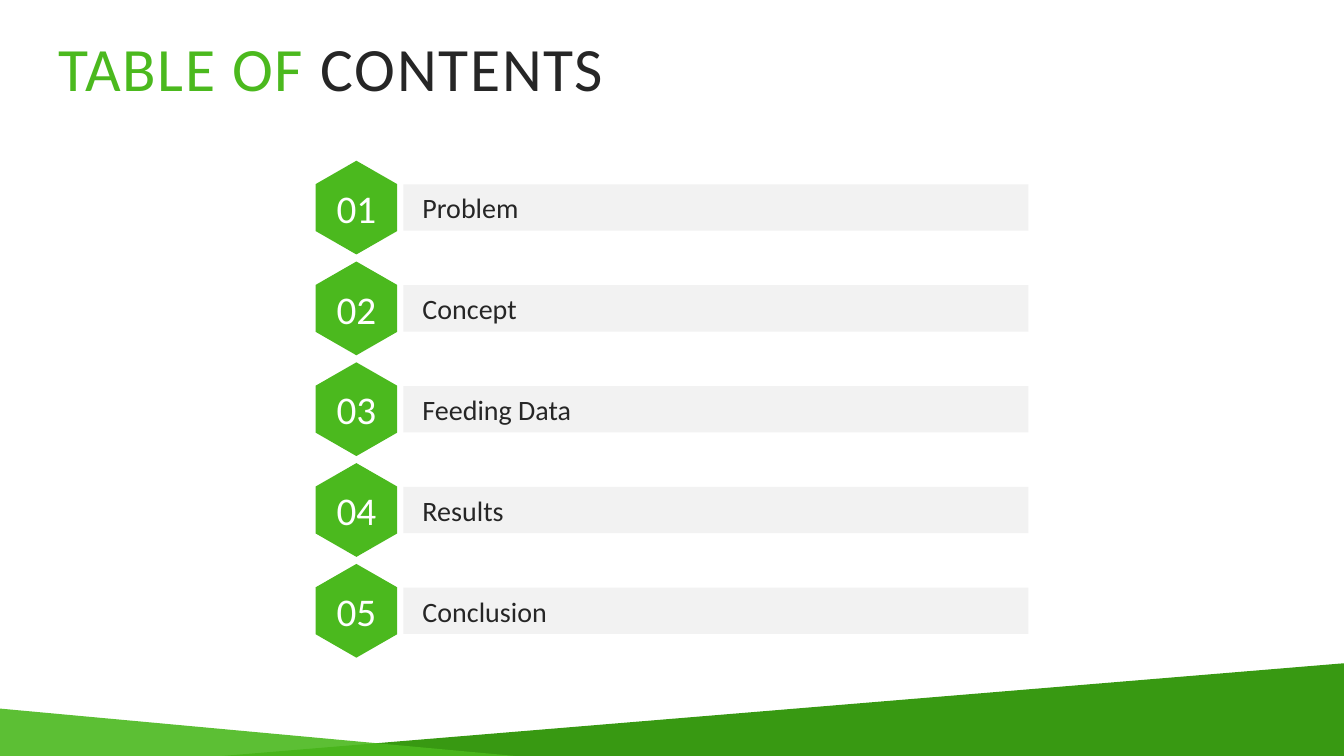
from dataclasses import dataclass

from lxml import etree
from pptx import Presentation
from pptx import util as u
from pptx.dml.color import RGBColor
from pptx.enum import shapes, text
from pptx.oxml import ns

GREEN, DARK_GREEN = "4BB91E", "389912"
INK, GREY, WHITE = "262626", "F2F2F2", "FFFFFF"
WIDTH, HEIGHT = 13.33, 7.5

# Row geometry, in inches
HEX_LEFT, HEX_W, HEX_H = 3.13, 0.81, 0.93
BAR_LEFT, BAR_W, BAR_H = 4.0, 6.2, 0.46
FIRST_CENTER, PITCH = 2.06, 1.0


@dataclass
class Entry:
    number: str
    topic: str


ENTRIES = [Entry(f"{i:02}", topic) for i, topic in enumerate(
    ["Problem", "Concept", "Feeding Data", "Results", "Conclusion"], 1)]


def rgb(color: str) -> RGBColor:
    return RGBColor.from_string(color)


def paint(sp, color: str, alpha: int = 100) -> None:
    """Flat fill with no line or shadow; alpha is opacity in percent."""
    sp.shadow.inherit = False
    sp.fill.solid()
    sp.fill.fore_color.rgb = rgb(color)
    sp.line.fill.background()
    if alpha < 100:
        clr = sp._element.spPr.find(".//" + ns.qn("a:srgbClr"))
        etree.SubElement(clr, ns.qn("a:alpha")).set("val", str(alpha * 1000))


def polygon(parent, points: list[tuple[float, float]], color: str, alpha: int = 100):
    pts = [(u.Inches(x), u.Inches(y)) for x, y in points]
    builder = parent.build_freeform(*pts[0], scale=1.0)
    builder.add_line_segments(pts[1:], close=True)
    sp = builder.convert_to_shape()
    paint(sp, color, alpha)
    return sp


def write(sp, runs: list[tuple[str, str]], *, size: int, align=text.PP_ALIGN.LEFT,
          left: float = 0.1, right: float = 0.1, line: float = 1.0,
          spacing: int = 0) -> None:
    """Fill a shape with (text, colour) runs; spacing is in 1/100 pt."""
    tf = sp.text_frame
    tf.word_wrap = True
    tf.vertical_anchor = text.MSO_ANCHOR.MIDDLE
    tf.margin_left, tf.margin_right = u.Inches(left), u.Inches(right)
    p = tf.paragraphs[0]
    p.alignment, p.line_spacing = align, line
    for words, color in runs:
        r = p.add_run()
        r.text = words
        r.font.size, r.font.name = u.Pt(size), "Calibri"
        r.font.color.rgb = rgb(color)
        if spacing:
            r.font._element.set("spc", str(spacing))


def draw_entry(slide, entry: Entry, center: float) -> None:
    group = slide.shapes.add_group_shape().shapes
    # Hexagon standing on its point
    mid, right = HEX_LEFT + HEX_W / 2, HEX_LEFT + HEX_W
    half, quarter = HEX_H / 2, HEX_H / 4
    hexagon = polygon(group, [
        (mid, center - half), (right, center - quarter), (right, center + quarter),
        (mid, center + half), (HEX_LEFT, center + quarter),
        (HEX_LEFT, center - quarter)], GREEN)
    write(hexagon, [(entry.number, WHITE)], size=28, align=text.PP_ALIGN.CENTER,
          left=0, right=0)
    # Topic bar
    bar = group.add_shape(
        shapes.MSO_SHAPE.RECTANGLE, u.Inches(BAR_LEFT),
        u.Inches(center - BAR_H / 2), u.Inches(BAR_W), u.Inches(BAR_H))
    paint(bar, GREY)
    write(bar, [(entry.topic, INK)], size=20, left=0.19)


def main() -> None:
    prs = Presentation()
    prs.slide_width, prs.slide_height = u.Inches(WIDTH), u.Inches(HEIGHT)
    slide = prs.slides.add_slide(prs.slide_layouts[6])

    # Footer wedges
    polygon(slide.shapes, [(WIDTH, 6.58), (WIDTH, HEIGHT), (2.2, HEIGHT)], DARK_GREEN)
    polygon(slide.shapes, [(0, 7.03), (5.11, HEIGHT), (0, HEIGHT)], GREEN, alpha=90)

    # Title
    title = slide.shapes.add_textbox(
        u.Inches(0.48), u.Inches(0.24), u.Inches(12.41), u.Inches(0.94))
    write(title, [("TABLE OF ", GREEN), ("CONTENTS", INK)], size=44,
          line=0.9, spacing=120)

    # Contents rows
    for i, entry in enumerate(ENTRIES):
        draw_entry(slide, entry, FIRST_CENTER + i * PITCH)

    prs.save("out.pptx")


if __name__ == "__main__":
    main()
